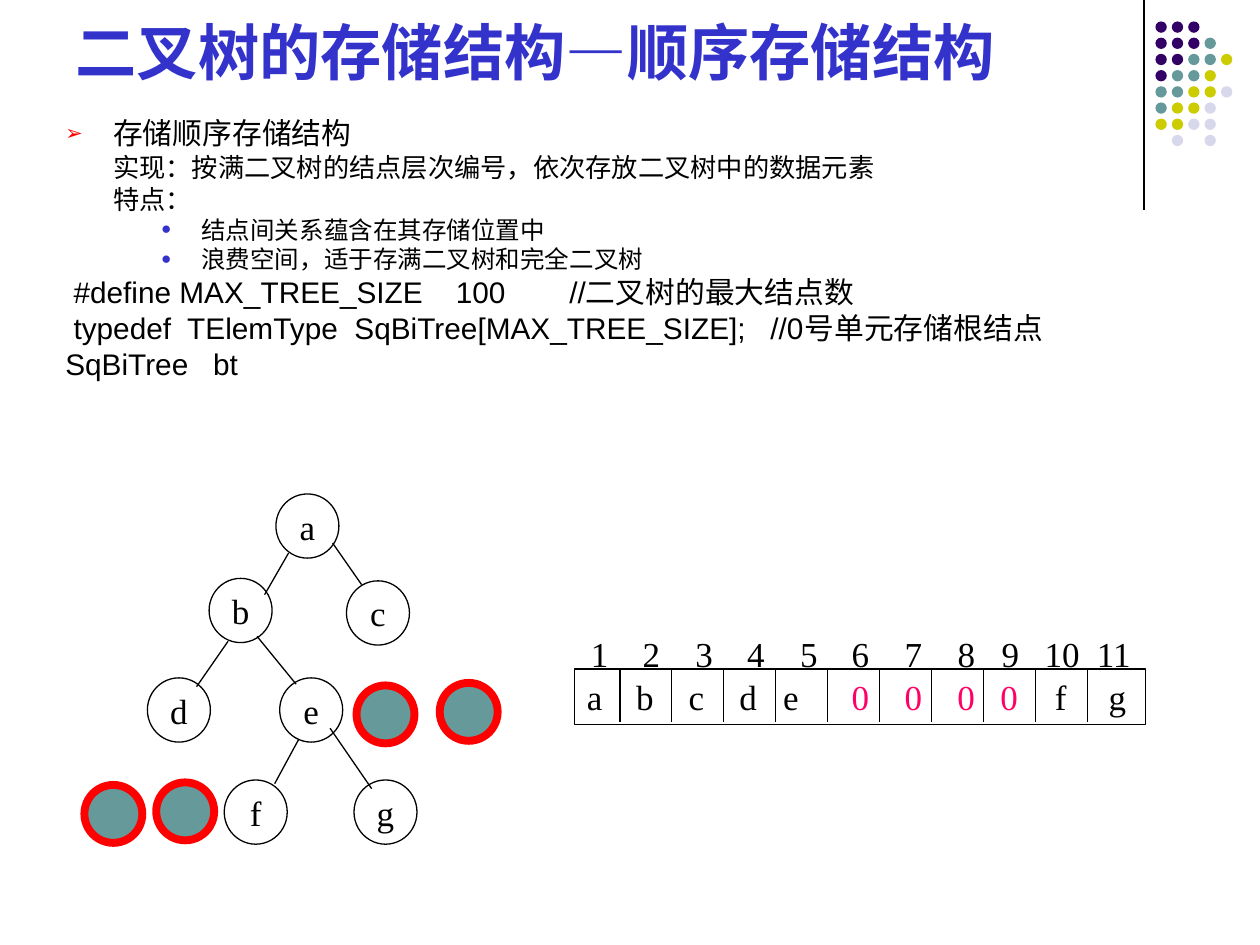
from lxml import etree
from pptx import Presentation
from pptx.dml.color import RGBColor
from pptx.enum.shapes import MSO_CONNECTOR, MSO_SHAPE
from pptx.enum.text import MSO_ANCHOR as ANCHOR, MSO_AUTO_SIZE, PP_ALIGN as ALIGN
from pptx.oxml.ns import qn
from pptx.util import Inches, Pt

COLORS = {"black": "000000", "blue": "3333CC", "red": "FF0000", "pink": "FF0066",
          "purple": "330066", "teal": "669999", "olive": "CCCC00", "pale": "D8D8EC"}
color = {name: RGBColor.from_string(value) for name, value in COLORS.items()}

prs = Presentation()
prs.slide_width, prs.slide_height = Inches(10), Inches(7.5)
slide = prs.slides.add_slide(prs.slide_layouts[5])


def add_outline(kind, left, top, width, height, fill=None, line="black", weight=0.75):
    shape = slide.shapes.add_shape(kind, Inches(left), Inches(top), Inches(width), Inches(height))
    shape.shadow.inherit = False
    if fill:
        shape.fill.solid()
        shape.fill.fore_color.rgb = color[fill]
    else:
        shape.fill.background()
    if line:
        shape.line.color.rgb = color[line]
        shape.line.width = Pt(weight)
    else:
        shape.line.fill.background()
    return shape


def add_line(x1, y1, x2, y2):
    line = slide.shapes.add_connector(MSO_CONNECTOR.STRAIGHT, Inches(x1), Inches(y1),
                                      Inches(x2), Inches(y2))
    line.line.color.rgb = color["black"]
    line.line.width = Pt(0.75)
    etree.SubElement(line._element.spPr, qn("a:effectLst"))


add_line(9.08, 0, 9.08, 1.67)
dot_colors = {"P": "purple", "T": "teal", "O": "olive", "L": "pale"}
dot_rows = ["PPP", "PPPT", "PPTTO", "PTTO", "TTOOL", "TOOL", "OOLL", " L L"]
for row, dots in enumerate(dot_rows):
    for column, dot in enumerate(dots):
        if dot in dot_colors:
            add_outline(MSO_SHAPE.OVAL, 9.17 + 0.13 * column, 0.17 + 0.9 / 7 * row, 0.09, 0.09,
                        dot_colors[dot], None)

title = slide.shapes.title
title.left, title.top, title.width, title.height = map(Inches, (0.5, 0.13, 8.42, 0.62))
title.text_frame.text = "二叉树的存储结构—顺序存储结构"
title.text_frame.vertical_anchor = ANCHOR.BOTTOM
title.text_frame.auto_size = MSO_AUTO_SIZE.NONE
heading = title.text_frame.paragraphs[0]
heading.alignment = ALIGN.LEFT
heading.font.name, heading.font.size, heading.font.bold = "Arial", Pt(35), True
heading.font.color.rgb = color["blue"]

point, detail = (0.38, -0.38, "➢", "red"), (0.38, 0, None, None)
feature, code = (1.08, -0.32, "●", "blue"), (0, 0, None, None)
outline = [
    ("存储顺序存储结构", 17, 0, point),
    ("实现：按满二叉树的结点层次编号，依次存放二叉树中的数据元素", 15, 3.7, detail),
    ("特点：", 15, 3.7, detail),
    ("结点间关系蕴含在其存储位置中", 14, 3.5, feature),
    ("浪费空间，适于存满二叉树和完全二叉树", 14, 3.5, feature),
    (" #define MAX_TREE_SIZE    100\t\t//二叉树的最大结点数", 17, 4.2, code),
    (" typedef  TElemType  SqBiTree[MAX_TREE_SIZE];   //0号单元存储根结点", 17, 4.2, code),
    ("SqBiTree   bt", 17, 4.2, code),
]
body = slide.shapes.add_textbox(Inches(0.42), Inches(0.92), Inches(9), Inches(2.25)).text_frame
body.word_wrap = True
for index, (text, size, before, (margin, indent, bullet, bullet_color)) in enumerate(outline):
    entry = body.paragraphs[0] if index == 0 else body.add_paragraph()
    entry.text = text
    entry.line_spacing, entry.space_before = 0.8, Pt(before)
    props = entry._p.get_or_add_pPr()
    props.set("marL", str(Inches(margin)))
    props.set("indent", str(Inches(indent)))
    if bullet:
        tint = etree.SubElement(props, qn("a:buClr"))
        etree.SubElement(tint, qn("a:srgbClr"), val=COLORS[bullet_color])
        etree.SubElement(props, qn("a:buSzPct"), val="70000")
        etree.SubElement(props, qn("a:buFont"), typeface="Arial")
        etree.SubElement(props, qn("a:buChar"), char=bullet)
    if "\t" in text:
        stops = etree.SubElement(props, qn("a:tabLst"))
        for stop in (4.37, 5.37):
            etree.SubElement(stops, qn("a:tab"), pos=str(Inches(stop)), algn="l")
    entry.font.name, entry.font.size = "Arial", Pt(size)
    entry.font.color.rgb = color["black"]

nodes = {"a": (2.19, 3.92), "b": (1.66, 4.59), "c": (2.75, 4.61), "d": (1.17, 5.38),
         "e": (2.22, 5.38), "f": (1.78, 6.19), "g": (2.81, 6.19)}
for letter, (left, top) in nodes.items():
    node = add_outline(MSO_SHAPE.OVAL, left, top, 0.5, 0.51).text_frame
    node.text = letter
    node.word_wrap = False
    node.vertical_anchor = ANCHOR.MIDDLE
    label = node.paragraphs[0]
    label.alignment = ALIGN.CENTER
    label.font.name, label.font.size = "Times New Roman", Pt(20)
    label.font.color.rgb = color["black"]

edges = [(2.29, 4.39, 2.1, 4.72), (1.81, 5.09, 1.56, 5.45), (2.64, 4.31, 2.87, 4.64),
         (2.04, 5.05, 2.35, 5.43), (2.62, 5.78, 2.95, 6.26), (2.37, 5.87, 2.18, 6.22)]
for edge in edges:
    add_line(*edge)

for left, top in [(2.83, 5.44), (3.49, 5.42), (0.67, 6.23), (1.24, 6.21)]:
    add_outline(MSO_SHAPE.OVAL, left, top, 0.46, 0.46, "teal", "red", 4.5)

cells = add_outline(MSO_SHAPE.RECTANGLE, 4.56, 5.31, 4.53, 0.44)
for divider in range(10):
    add_line(4.92 + 3.71 / 9 * divider, 5.31, 4.92 + 3.71 / 9 * divider, 5.73)
numbers = slide.shapes.add_textbox(Inches(4.59), Inches(4.97), Inches(4.51), Inches(0.44))

value_centers = [5.12, 5.53, 5.94, 6.28, 6.83, 7.25, 7.67, 8.01, 8.42, 8.87]
number_centers = [5.17, 5.59, 6, 6.42, 6.83, 7.25, 7.67, 8.02, 8.43, 8.84]
array_rows = [
    (cells, 4.66, value_centers, [("a\tb\tc\td\te\t", "black"), ("0\t0\t0\t0\t", "pink"),
                                  ("f\tg", "black")]),
    (numbers, 4.69, number_centers, [("\t".join(str(n) for n in range(1, 12)), "black")]),
]
for box, text_left, centers, parts in array_rows:
    box.text_frame.word_wrap = True
    box.text_frame.vertical_anchor = ANCHOR.MIDDLE
    items = box.text_frame.paragraphs[0]
    items.alignment = ALIGN.LEFT
    stops = etree.SubElement(items._p.get_or_add_pPr(), qn("a:tabLst"))
    for center in centers:
        etree.SubElement(stops, qn("a:tab"), pos=str(Inches(center - text_left)), algn="ctr")
    items.font.name, items.font.size = "Times New Roman", Pt(20)
    for text, tone in parts:
        run = items.add_run()
        run.text = text
        run.font.color.rgb = color[tone]

prs.save("out.pptx")
